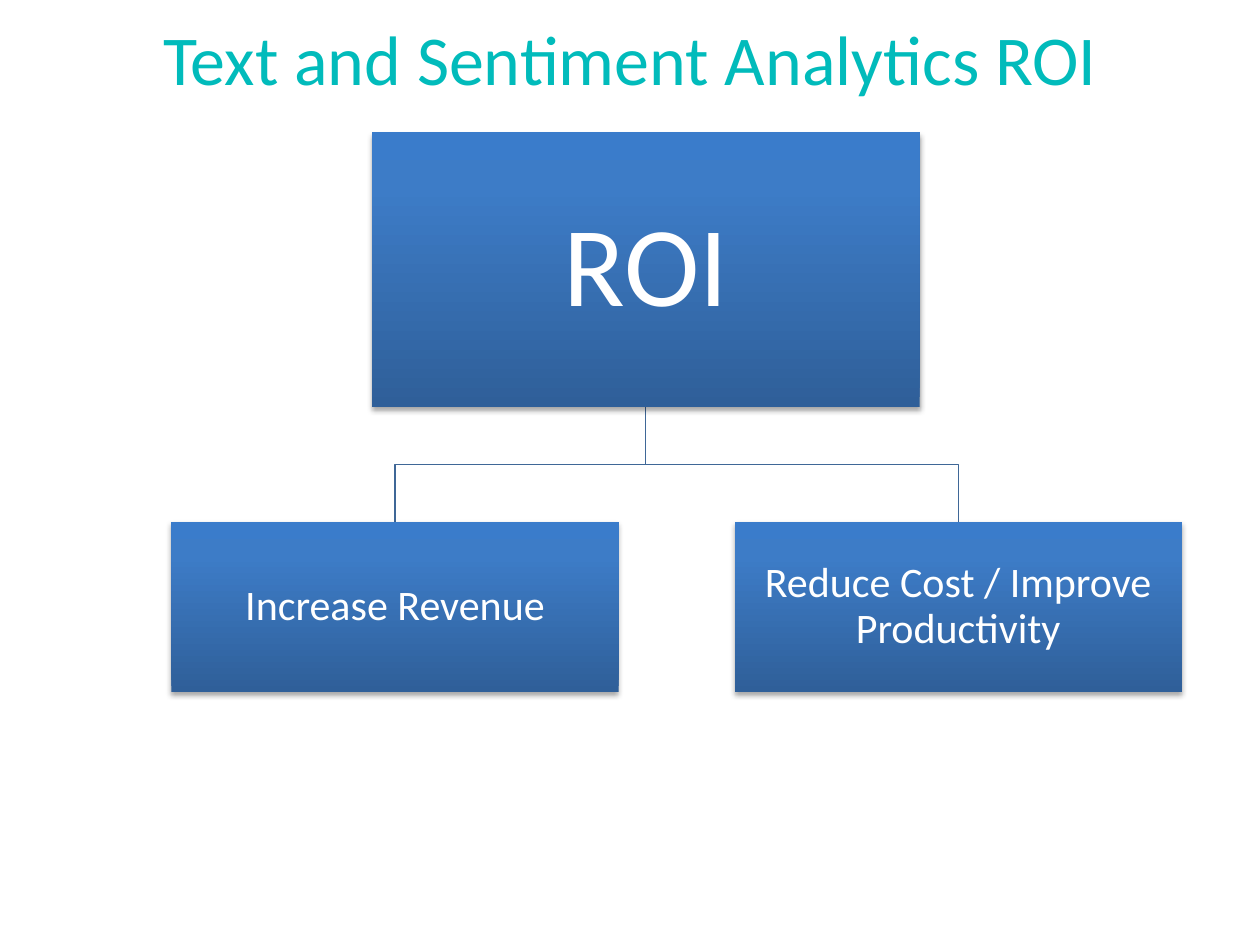
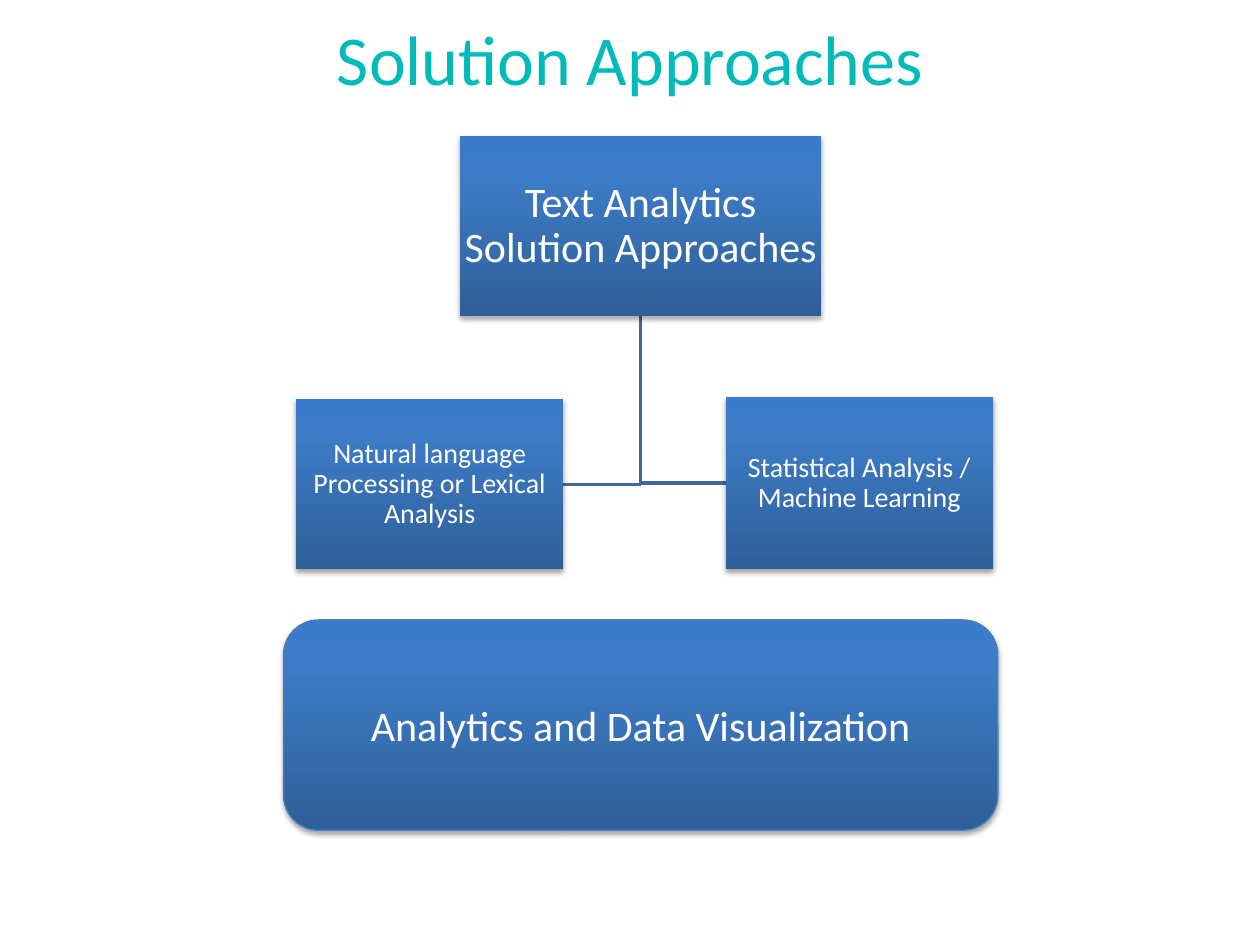
from copy import deepcopy

from lxml import etree
from pptx import Presentation
from pptx import util as u
from pptx.dml.color import RGBColor
from pptx.enum import shapes, text
from pptx.oxml import ns

FONT = "Calibri"
TEAL = RGBColor(0x01, 0xBB, 0xBB)
WHITE = RGBColor(0xFF, 0xFF, 0xFF)
LINK_BLUE = RGBColor(0x3F, 0x67, 0x97)
EDGE_BLUE = RGBColor(0x4B, 0x7E, 0xBC)
BOX_GRADIENT = (
    (0, RGBColor(0x2F, 0x5F, 0x99)),
    (0.8, RGBColor(0x3D, 0x7C, 0xC7)),
    (1, RGBColor(0x3A, 0x7C, 0xCB)),
)
RECTANGLE = shapes.MSO_SHAPE.RECTANGLE
ROUNDED = shapes.MSO_SHAPE.ROUNDED_RECTANGLE


class Deck:
    def __init__(self):
        self.presentation = Presentation()
        self.presentation.slide_width = u.Inches(10)
        self.presentation.slide_height = u.Inches(7.5)
        self.slide = None

    def add_slide(self, title):
        self.slide = self.presentation.slides.add_slide(self.presentation.slide_layouts[6])
        title_box = self.slide.shapes.add_textbox(0, 0, u.Inches(10), u.Inches(0.92))
        self.set_label(title_box, title, 40, TEAL)

    def set_label(self, shape, words, size, color, inset=None, line_spacing=None):
        frame = shape.text_frame
        frame.word_wrap = True
        frame.vertical_anchor = text.MSO_ANCHOR.MIDDLE
        if inset is not None:
            frame.margin_left = frame.margin_right = u.Inches(inset)
            frame.margin_top = frame.margin_bottom = u.Inches(inset)
        frame.text = words
        paragraph = frame.paragraphs[0]
        paragraph.alignment = text.PP_ALIGN.CENTER
        paragraph.line_spacing = line_spacing
        font = paragraph.runs[0].font
        font.name, font.size = FONT, u.Pt(size)
        font.color.rgb = color

    def box(self, words, left, top, width, height, size, inset=0.02,
            line_spacing=0.9, kind=RECTANGLE, edge=None, shadow=(35, 1.8)):
        """Add a gradient box; shadow is its opacity in percent and distance in points."""
        shape = self.slide.shapes.add_shape(
            kind, u.Inches(left), u.Inches(top), u.Inches(width), u.Inches(height))
        self.shade(shape)
        if edge is None:
            shape.line.fill.background()
        else:
            shape.line.color.rgb = edge
            shape.line.width = u.Pt(0.75)
        self.drop_shadow(shape, *shadow)
        self.set_label(shape, words, size, WHITE, inset, line_spacing)
        return shape

    def shade(self, shape):
        shape.fill.gradient()
        shape.fill.gradient_angle = 90
        last_stop = shape._element.xpath(".//a:gs")[-1]
        last_stop.addnext(deepcopy(last_stop))
        for stop, (position, color) in zip(shape.fill.gradient_stops, BOX_GRADIENT):
            stop.position = position
            stop.color.rgb = color

    def drop_shadow(self, shape, opacity, distance):
        shape.shadow.inherit = False
        effects = shape._element.spPr.find(ns.qn("a:effectLst"))
        outer = etree.SubElement(
            effects, ns.qn("a:outerShdw"), blurRad=str(u.Pt(3.1)),
            dist=str(u.Pt(distance)), dir="5400000", rotWithShape="0")
        black = etree.SubElement(outer, ns.qn("a:srgbClr"), val="000000")
        etree.SubElement(black, ns.qn("a:alpha"), val=str(opacity * 1000))

    def link(self, points, width):
        """Draw an open bent line behind the boxes."""
        builder = self.slide.shapes.build_freeform(*points[0])
        builder.add_line_segments(points[1:], close=False)
        shape = builder.convert_to_shape()
        shape.fill.background()
        shape.line.color.rgb = LINK_BLUE
        shape.line.width = u.Pt(width)
        shape.shadow.inherit = False
        self.slide.shapes._spTree.insert(2, shape._element)


def center_x(shape):
    return shape.left + shape.width // 2


def bottom(shape):
    return shape.top + shape.height


def build_roi(deck):
    deck.add_slide("Text and Sentiment Analytics ROI")
    roi = deck.box("ROI", 2.95, 1.05, 4.35, 2.18, 65, inset=0.05)
    for column, benefit in enumerate(("Increase Revenue", "Reduce Cost / Improve Productivity")):
        child = deck.box(benefit, 1.36 + 4.47 * column, 4.14, 3.55, 1.35, 24)
        middle = (bottom(roi) + child.top) // 2
        deck.link([(center_x(roi), bottom(roi)), (center_x(roi), middle),
                   (center_x(child), middle), (center_x(child), child.top)], 0.75)


def build_approaches(deck):
    deck.add_slide("Solution Approaches")
    root = deck.box("Text Analytics Solution Approaches", 3.65, 1.08, 2.87, 1.43, 24)
    approaches = (
        ("Natural language Processing or Lexical Analysis", 2.35, 3.17, 1.35),
        ("Statistical Analysis / Machine Learning", 5.76, 3.15, 1.37),
    )
    for words, left, top, height in approaches:
        child = deck.box(words, left, top, 2.12, height, 16, inset=0.01, shadow=(38, 1.6))
        middle = child.top + child.height // 2
        is_left = child.left < root.left
        inner_side = child.left + child.width if is_left else child.left
        deck.link([(center_x(root), bottom(root)), (center_x(root), middle),
                   (inner_side, middle)], 2)
    deck.box("Analytics and Data Visualization", 2.25, 4.92, 5.67, 1.67, 24,
             inset=None, line_spacing=None, kind=ROUNDED, edge=EDGE_BLUE)


def main():
    deck = Deck()
    build_roi(deck)
    build_approaches(deck)
    deck.presentation.save("out.pptx")


if __name__ == "__main__":
    main()
